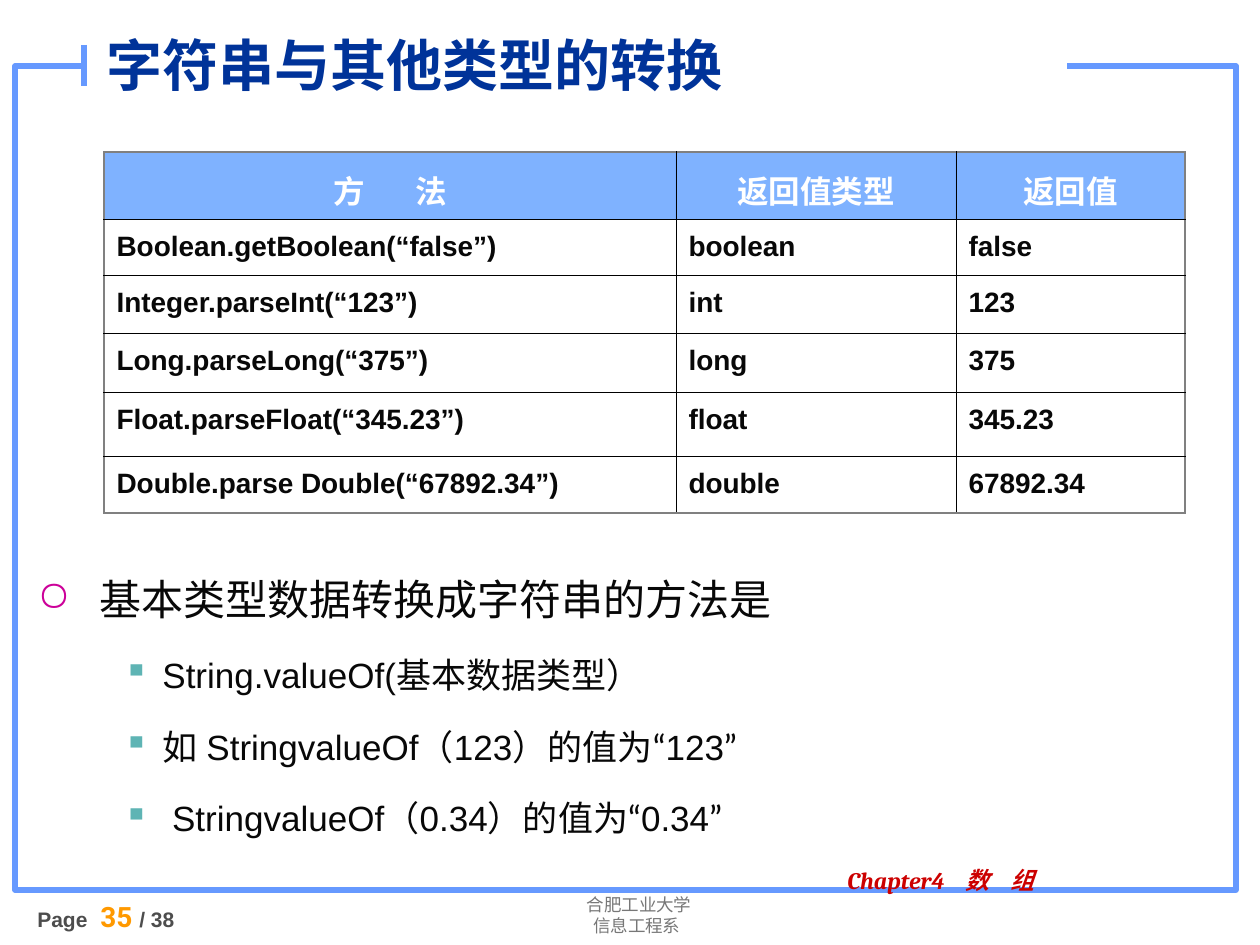
from lxml import etree
from pptx import Presentation
from pptx import util as u
from pptx.dml.color import RGBColor
from pptx.enum import shapes, text
from pptx.oxml import ns

SCALE = 914400 / 126
BLUE, INK, GRAY = "6699FF", "080808", "808080"
MID = text.PP_ALIGN.CENTER


def px(n):
    return u.Emu(round(n * SCALE))


def hue(code):
    return RGBColor.from_string(code)


def sub(node, tag, **atts):
    return etree.SubElement(node, ns.qn(tag), **atts)


class Deck:
    """Draws styled elements on the current slide."""

    font = "Arial"

    def __init__(self, wide, high):
        self.prs = Presentation()
        self.prs.slide_width, self.prs.slide_height = px(wide), px(high)
        self.slide = self.prs.slides.add_slide(self.prs.slide_layouts[6])

    def box(self, x, y, w, h, fill=None, line=None):
        item = self.slide.shapes.add_shape(
            shapes.MSO_SHAPE.RECTANGLE, px(x), px(y), px(w), px(h))
        item.shadow.inherit = False
        if fill:
            item.fill.solid()
            item.fill.fore_color.rgb = hue(fill)
        else:
            item.fill.background()
        if line:
            item.line.color.rgb = hue(line)
            item.line.width = u.Pt(3)
        else:
            item.line.fill.background()

    def line(self, x, y, to_x, to_y, color):
        item = self.slide.shapes.add_connector(
            shapes.MSO_CONNECTOR.STRAIGHT, px(x), px(y), px(to_x), px(to_y))
        item.line.color.rgb = hue(color)
        item.line.width = u.Pt(3)
        sub(item.element.spPr, "a:effectLst")

    def text(self, x, y, w, h, anchor=text.MSO_ANCHOR.TOP):
        frame = self.slide.shapes.add_textbox(px(x), px(y), px(w), px(h)).text_frame
        frame.word_wrap = True
        frame.vertical_anchor = anchor
        return frame

    def para(self, frame, align=None, lead=None, before=None):
        first = frame.paragraphs[0]
        para = frame.add_paragraph() if first.runs else first
        para.alignment = align
        para.line_spacing = lead
        if before:
            para.space_before = u.Pt(before)
        return para

    def run(self, para, words, size, color, bold=False, font=None, asian=None,
            slant=False, gap=0):
        run = para.add_run()
        run.text = words
        face = run.font
        face.size, face.bold, face.italic = u.Pt(size), bold, slant
        face.color.rgb = hue(color)
        face.name = font or self.font
        props = run._r.get_or_add_rPr()
        if asian:
            sub(props, "a:ea", typeface=asian)
        if gap:
            props.set("spc", str(gap * 100))

    def point(self, frame, words, size, mark, color, left, hang, before=None):
        para = self.para(frame, lead=1.5, before=before)
        props = para._p.get_or_add_pPr()
        props.set("marL", str(px(left)))
        props.set("indent", str(-px(hang)))
        sub(sub(props, "a:buClr"), "a:srgbClr", val=color)
        sub(props, "a:buChar", char=mark)
        self.run(para, words, size, INK, asian="Lato")

    def edge(self, cell, side, color, width):
        edge = sub(cell._tc.get_or_add_tcPr(), f"a:ln{side}", w=str(u.Pt(width)))
        sub(sub(edge, "a:solidFill"), "a:srgbClr", val=color)

    def table(self, x, y, cols, rows, data):
        grid = self.slide.shapes.add_table(
            len(rows), len(cols), px(x), px(y), px(sum(cols)), px(sum(rows))).table
        for col, w in zip(grid.columns, cols):
            col.width = px(w)
        for row, h in zip(grid.rows, rows):
            row.height = px(h)
        for r, row in enumerate(data):
            for c, words in enumerate(row):
                cell = grid.cell(r, c)
                outer = {"L": c == 0, "R": c == len(cols) - 1,
                         "T": r == 0, "B": r == len(rows) - 1}
                for side, rim in outer.items():
                    self.edge(cell, side, *((GRAY, 1.08) if rim else ("000000", 0.45)))
                if r:
                    cell.fill.background()
                else:
                    cell.fill.solid()
                    cell.fill.fore_color.rgb = hue("0066FF")
                    tint = cell._tc.tcPr.find(".//" + ns.qn("a:solidFill") + "[last()]")
                    tint = cell._tc.tcPr.find(ns.qn("a:solidFill"))
                    sub(tint[0], "a:alpha", val="50000")
                para = self.para(cell.text_frame, None if r else MID, 1.2)
                size, color = (16, INK) if r else (18, "FFFFFF")
                for n, part in enumerate(words.split("|")):
                    if n:
                        self.run(para, " ", size, color, True, gap=25)
                    self.run(para, part, size, color, True)


def main():
    deck = Deck(1260, 945)
    deck.box(15, 66, 1221, 824, line=BLUE)
    deck.box(84, 35, 983, 44, fill="FFFFFF")

    school = deck.text(479, 888, 320, 55)
    for words in ("合肥工业大学", "信息工程系 "):
        deck.run(deck.para(school, MID), words, 10, "777777", font="Lato", asian="Lato")

    page = deck.para(deck.text(25, 893, 228, 50))
    deck.run(page, "Page ", 12, "4D4D4D", True)
    deck.run(page, " ", 16, "FF9900", font="Roboto")
    deck.run(page, "35 ", 16, "FF9900", True, "Roboto")
    deck.run(page, "/ 38", 12, "4D4D4D", True)
    deck.line(84, 45, 84, 86, BLUE)

    part = deck.para(deck.text(835, 863, 367, 44), lead=0.9)
    for words, gap in (("Chapter4", 0), (" ", 9), ("数", 0), (" ", 9), ("组", 0)):
        deck.run(part, words, 13.6, "CC0000", True, "Cambria", slant=True, gap=gap)

    title = deck.text(94, 14, 853, 101, text.MSO_ANCHOR.MIDDLE)
    deck.run(deck.para(title), "字符串与其他类型的转换", 32, "003399", True)

    body = deck.text(25, 542, 1201, 318)
    deck.point(body, "基本类型数据转换成字符串的方法是", 24, "○", "CC0099", 62, 62)
    for words in ("String.valueOf(基本数据类型）",
                  "如 StringvalueOf（123）的值为“123”",
                  " StringvalueOf（0.34）的值为“0.34”"):
        deck.point(body, words, 20, "▪", "5EB4B4", 125, 39, 5)

    deck.table(104, 152, (572, 280, 229), (67, 56, 58, 59, 64, 57), (
        ("方|法", "返回值类型", "返回值"),
        ("Boolean.getBoolean(“false”)", "boolean", "false"),
        ("Integer.parseInt(“123”)", "int", "123"),
        ("Long.parseLong(“375”)", "long", "375"),
        ("Float.parseFloat(“345.23”)", "float", "345.23"),
        ("Double.parse Double(“67892.34”)", "double", "67892.34")))
    deck.prs.save("out.pptx")


if __name__ == "__main__":
    main()
